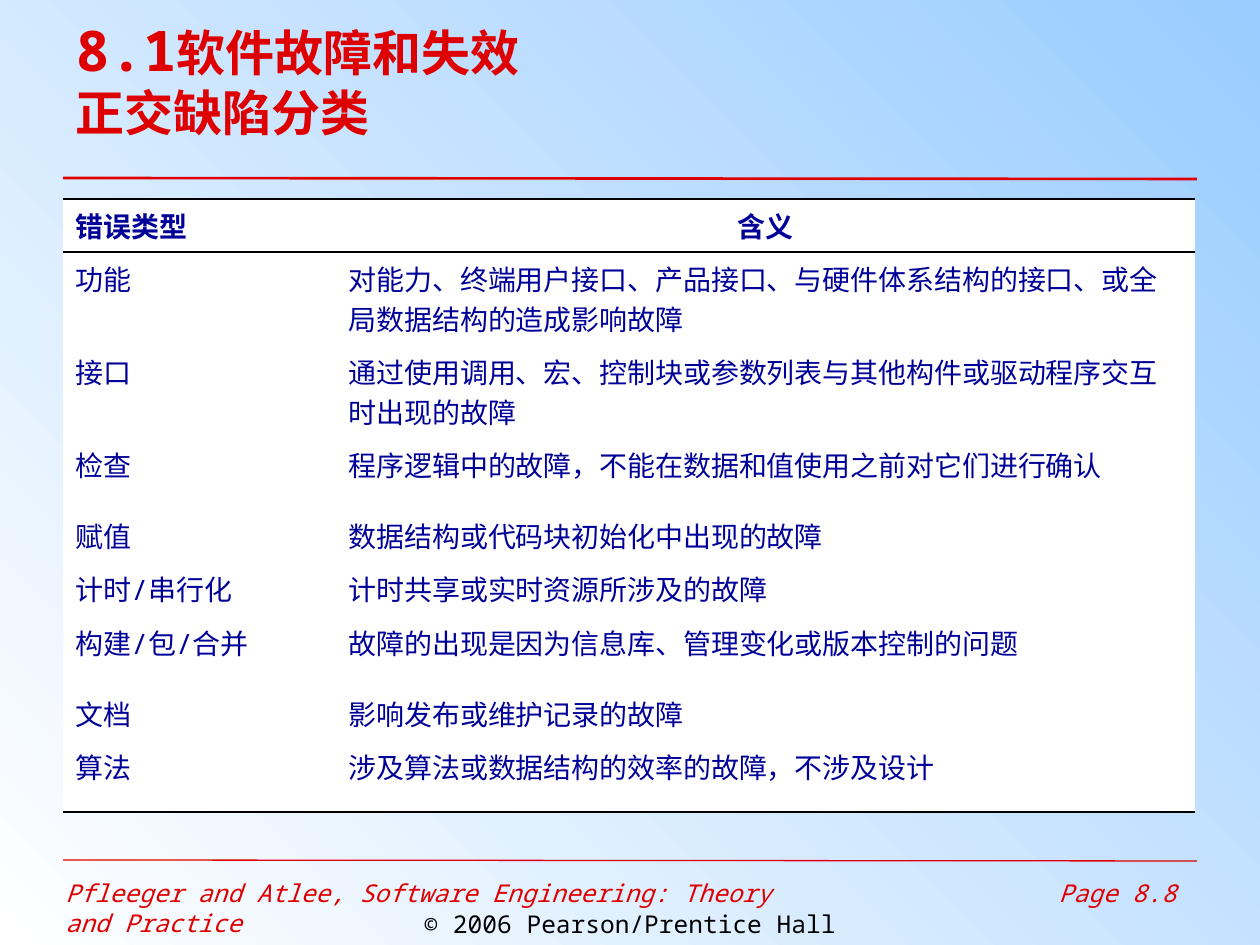
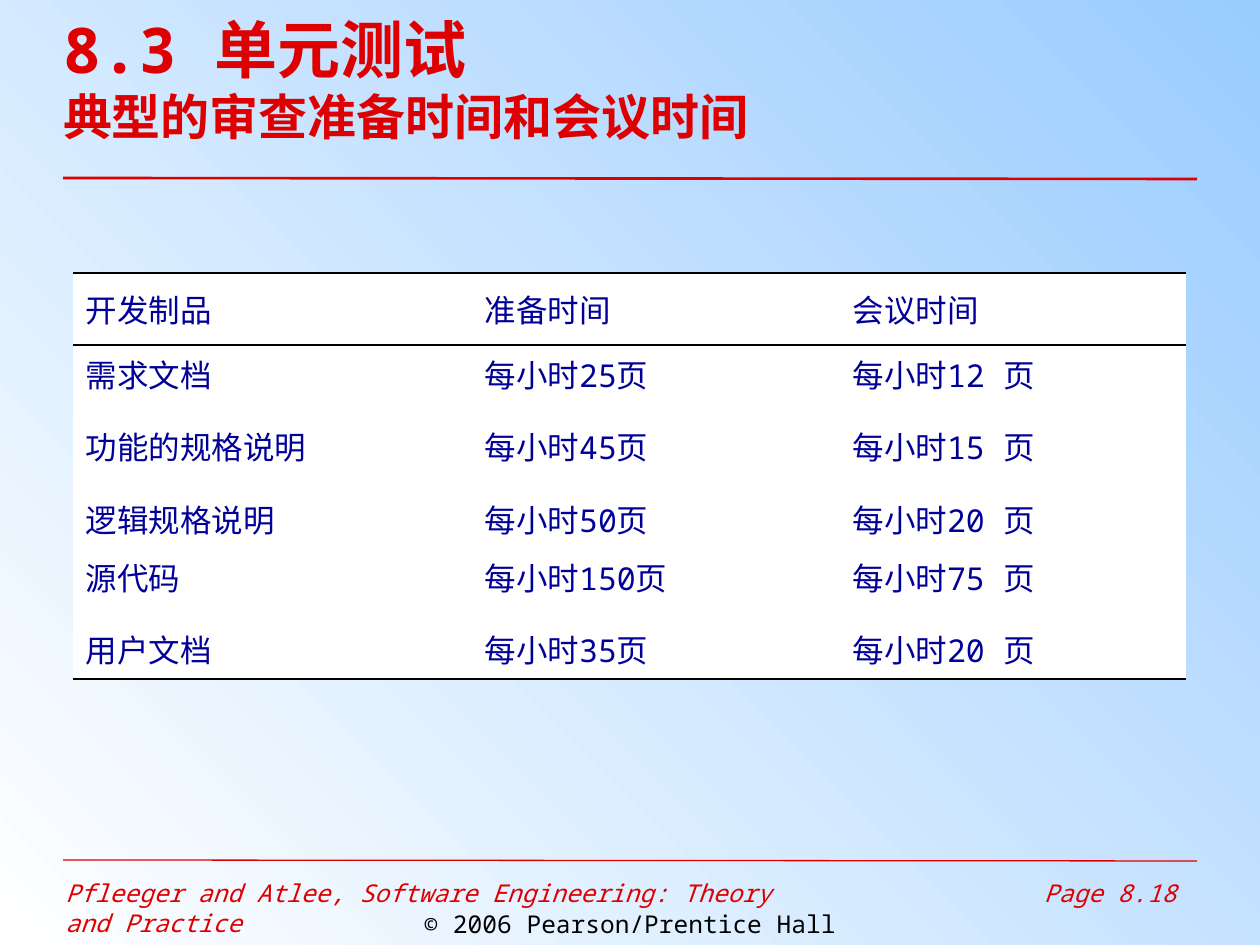
from copy import deepcopy
from dataclasses import dataclass

from lxml.etree import SubElement
from pptx import Presentation
from pptx.dml.color import RGBColor
from pptx.enum.shapes import MSO_CONNECTOR
from pptx.enum.text import MSO_ANCHOR, MSO_AUTO_SIZE, PP_ALIGN
from pptx.oxml import parse_xml
from pptx.oxml.ns import nsdecls, qn
from pptx.util import Emu, Pt

EMU_PER_PX = 914400 / 126
FONT = "Noto Sans Mono"
COLORS = {
    "red": "DE0000",
    "navy": "000099",
    "black": "000000",
    "white": "FFFFFF",
    "sky": "99CCFF",
}
NO_STYLE = "{2D5ABB26-0587-4C30-8999-92F81FD0307C}"
TITLE_ONLY = 5
CELL_SPACING = 1.06


@dataclass
class Rule:
    y1: int
    y2: int
    width: float


@dataclass
class Footer:
    box: tuple[int, int, int, int]
    text: str
    color: str = "red"
    italic: bool = True
    align: PP_ALIGN = PP_ALIGN.LEFT


@dataclass
class Grid:
    left: int
    top: int
    cols: list[int]
    heights: list[int]
    size: int
    rows: list[tuple[str, ...]]
    header_bold: bool
    header_aligns: list[PP_ALIGN]
    header_anchor: MSO_ANCHOR


@dataclass
class Page:
    number: str
    title: list[tuple[str, int]]
    title_inset: tuple[int, int]
    grid: Grid


RULES = [Rule(860, 861, 0.75), Rule(178, 179, 1.5)]
FOOTERS = [
    Footer((53, 872, 756, 43), "Pfleeger and Atlee, Software Engineering: Theory and Practice"),
    Footer((987, 872, 202, 47), "Page {number}", align=PP_ALIGN.RIGHT),
    Footer((0, 903, 1260, 43), "© 2006 Pearson/Prentice Hall", "black", False, PP_ALIGN.CENTER),
]

PAGES = [
    Page(
        "8.8",
        [("8.1", 32), ("软件故障和失效\n正交缺陷分类", 28)],
        (13, 6),
        Grid(
            63, 199, [273, 859], [53, 93, 93, 71, 53, 54, 71, 53, 72], 16,
            [
                ("错误类型", "含义"),
                ("功能", "对能力、终端用户接口、产品接口、与硬件体系结构的接口、或全局数据结构的造成影响故障"),
                ("接口", "通过使用调用、宏、控制块或参数列表与其他构件或驱动程序交互时出现的故障"),
                ("检查", "程序逻辑中的故障，不能在数据和值使用之前对它们进行确认"),
                ("赋值", "数据结构或代码块初始化中出现的故障"),
                ("计时/串行化", "计时共享或实时资源所涉及的故障"),
                ("构建/包/合并", "故障的出现是因为信息库、管理变化或版本控制的问题"),
                ("文档", "影响发布或维护记录的故障"),
                ("算法", "涉及算法或数据结构的效率的故障，不涉及设计"),
            ],
            True, [PP_ALIGN.LEFT, PP_ALIGN.CENTER], MSO_ANCHOR.TOP,
        ),
    ),
    Page(
        "8.18",
        [("8.3 单元测试\n", 36), ("典型的审查准备时间和会议时间", 28)],
        (0, 0),
        Grid(
            73, 273, [399, 368, 346], [72, 72, 73, 58, 72, 59], 18,
            [
                ("开发制品", "准备时间", "会议时间"),
                ("需求文档", "每小时25页", "每小时12 页"),
                ("功能的规格说明", "每小时45页", "每小时15 页"),
                ("逻辑规格说明", "每小时50页", "每小时20 页"),
                ("源代码", "每小时150页", "每小时75 页"),
                ("用户文档", "每小时35页", "每小时20 页"),
            ],
            False, [PP_ALIGN.LEFT] * 3, MSO_ANCHOR.MIDDLE,
        ),
    ),
]


def px(n: int) -> Emu:
    return Emu(round(n * EMU_PER_PX))


def rgb(name: str) -> RGBColor:
    return RGBColor.from_string(COLORS[name])


def write(p, text: str, *, size: int, color: str, bold: bool = False,
          italic: bool = False, align: PP_ALIGN = PP_ALIGN.LEFT) -> None:
    p.alignment = align
    for i, line in enumerate(text.split("\n")):
        if i:
            p.add_line_break()
            p._p[-1].append(deepcopy(r._r.rPr))
        if not line:
            continue
        r = p.add_run()
        r.text = line
        r.font.name = FONT
        r.font.size = Pt(size)
        r.font.bold = bold
        r.font.italic = italic
        r.font.color.rgb = rgb(color)
        SubElement(r._r.rPr, qn("a:ea")).set("typeface", FONT)


def paint_background(s) -> None:
    fill = s.background.fill
    fill.gradient()
    fill.gradient_angle = 225
    for stop, name in zip(fill.gradient_stops, ("sky", "white")):
        stop.color.rgb = rgb(name)


def add_rule(s, rule: Rule) -> None:
    sp = s.shapes.add_connector(MSO_CONNECTOR.STRAIGHT, px(63), px(rule.y1), px(1197), px(rule.y2))
    sp.line.color.rgb = rgb("red")
    sp.line.width = Pt(rule.width)
    SubElement(sp._element.spPr, qn("a:effectLst"))


def add_footer(s, footer: Footer, number: str) -> None:
    tf = s.shapes.add_textbox(*map(px, footer.box)).text_frame
    tf.word_wrap = True
    tf.auto_size = MSO_AUTO_SIZE.SHAPE_TO_FIT_TEXT
    write(tf.paragraphs[0], footer.text.format(number=number), size=14,
          color=footer.color, italic=footer.italic, align=footer.align)


def set_title(s, page: Page) -> None:
    sp = s.shapes.title
    sp.left, sp.top, sp.width, sp.height = map(px, (63, 0, 1133, 156))
    tf = sp.text_frame
    tf.vertical_anchor = MSO_ANCHOR.MIDDLE
    tf.auto_size = MSO_AUTO_SIZE.TEXT_TO_FIT_SHAPE
    tf.margin_left = tf.margin_right = px(page.title_inset[0])
    tf.margin_top = tf.margin_bottom = px(page.title_inset[1])
    for text, size in page.title:
        write(tf.paragraphs[0], text, size=size, color="red", bold=True)


def set_borders(cell, edges: list[str]) -> None:
    tc_pr = cell._tc.get_or_add_tcPr()
    for i, edge in enumerate(edges):
        tc_pr.insert(i, parse_xml(
            f'<a:{edge} {nsdecls("a")} w="{Pt(1.08)}"><a:solidFill>'
            f'<a:srgbClr val="{COLORS["black"]}"/></a:solidFill></a:{edge}>'))


def add_grid(s, grid: Grid) -> None:
    frame = s.shapes.add_table(len(grid.rows), len(grid.cols), px(grid.left), px(grid.top),
                               px(sum(grid.cols)), px(sum(grid.heights)))
    table = frame.table
    table.first_row = table.horz_banding = False
    table._tbl.tblPr.find(qn("a:tableStyleId")).text = NO_STYLE
    for col, width in zip(table.columns, grid.cols):
        col.width = px(width)
    for i, (row, height, texts) in enumerate(zip(table.rows, grid.heights, grid.rows)):
        row.height = px(height)
        header = i == 0
        edges = ["lnT"] * header + ["lnB"] * (i in (0, len(grid.rows) - 1))
        for cell, text, align in zip(row.cells, texts, grid.header_aligns):
            cell.fill.solid()
            cell.fill.fore_color.rgb = rgb("white")
            cell.vertical_anchor = grid.header_anchor if header else MSO_ANCHOR.TOP
            set_borders(cell, edges)
            p = cell.text_frame.paragraphs[0]
            p.line_spacing = CELL_SPACING
            write(p, text, size=grid.size, color="navy", bold=header and grid.header_bold,
                  align=align if header else PP_ALIGN.LEFT)


def add_page(prs, page: Page) -> None:
    s = prs.slides.add_slide(prs.slide_layouts[TITLE_ONLY])
    paint_background(s)
    for rule in RULES:
        add_rule(s, rule)
    for footer in FOOTERS:
        add_footer(s, footer, page.number)
    set_title(s, page)
    add_grid(s, page.grid)


def main() -> None:
    prs = Presentation()
    prs.slide_width, prs.slide_height = px(1260), px(945)
    for page in PAGES:
        add_page(prs, page)
    prs.save("out.pptx")


if __name__ == "__main__":
    main()
